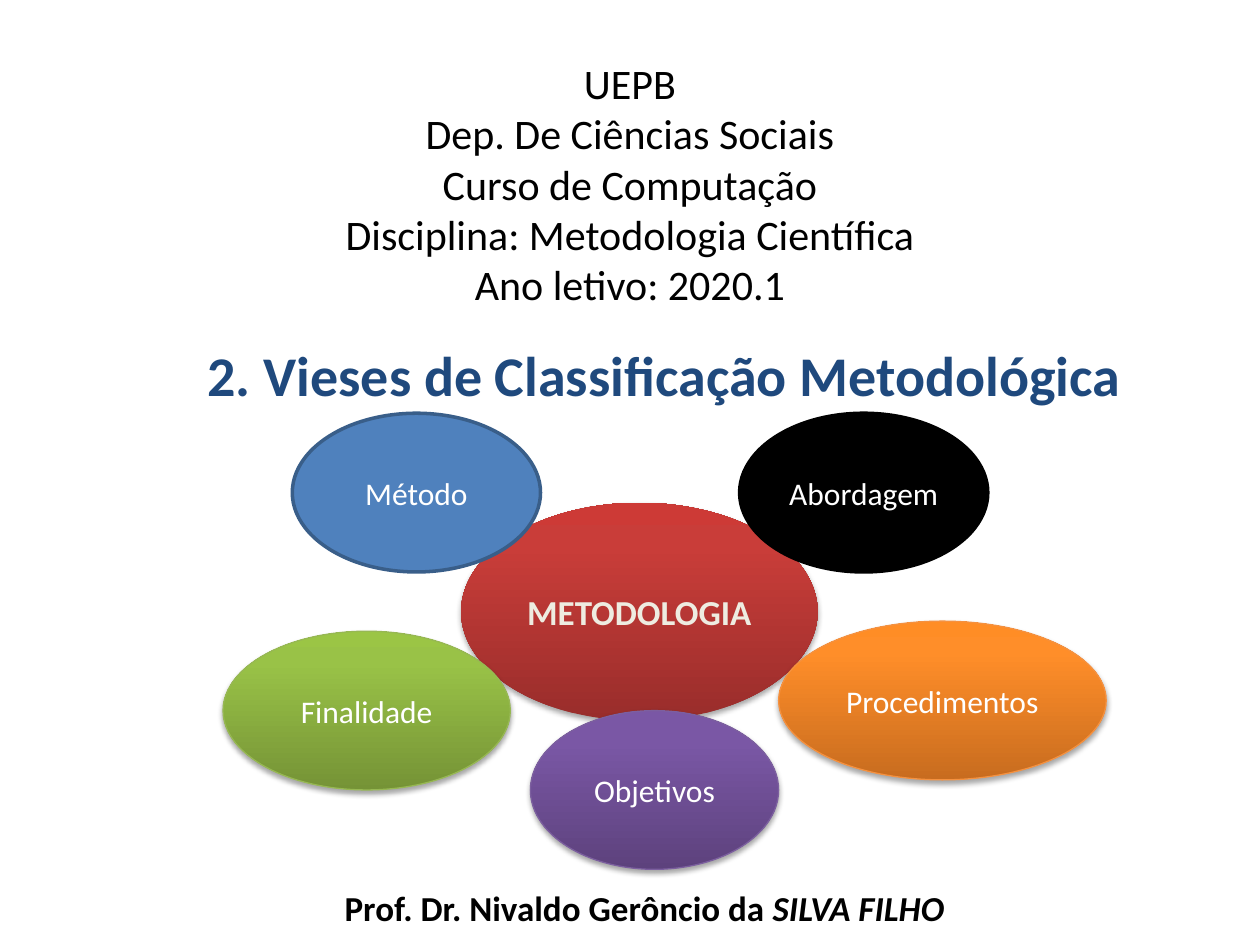
from dataclasses import dataclass

from lxml import etree
from pptx import Presentation
from pptx.dml.color import RGBColor
from pptx.enum.shapes import MSO_SHAPE
from pptx.enum.text import MSO_ANCHOR, PP_ALIGN
from pptx.oxml.ns import qn
from pptx.util import Inches, Pt

ELLIPSE = MSO_SHAPE.OVAL
CENTER = PP_ALIGN.CENTER
TOP, MIDDLE = MSO_ANCHOR.TOP, MSO_ANCHOR.MIDDLE
BLANK_LAYOUT = 6
COLUMNS, ROWS = 100, 75
GRADIENT_STOPS = (0, 80, 100)


@dataclass(frozen=True)
class Theme:
    font: str = "Calibri"
    black: str = "000000"
    white: str = "FFFFFF"
    cream: str = "EEECE1"
    navy: str = "1F497D"
    blue: str = "4F81BD"
    blue_edge: str = "395E89"
    red: tuple = ("992D2B", "C93D39", "CD3A36")
    green: tuple = ("759336", "99C247", "9BC545")
    green_edge: str = "97B853"
    orange: tuple = ("C86C1F", "FF8E29", "FF8D25")
    orange_edge: str = "F5913F"
    purple: tuple = ("5D427D", "7A57A5", "7A56A7")
    purple_edge: str = "7C5F9F"
    heading: int = 32
    course: int = 24
    strong: int = 20
    label: int = 18


def add_node(parent, tag, **attributes):
    return etree.SubElement(parent, qn(tag), {key: str(value) for key, value in attributes.items()})


class SlideBuilder:
    def __init__(self, deck, theme):
        self.theme = theme
        self.page = deck.slides.add_slide(deck.slide_layouts[BLANK_LAYOUT])
        self.column = deck.slide_width / COLUMNS
        self.row = deck.slide_height / ROWS

    def place(self, left, top, width, height):
        """Turn grid columns and rows into slide lengths."""
        return (round(left * self.column), round(top * self.row),
                round(width * self.column), round(height * self.row))

    def set_text(self, shape, text, size, color, bold=False, anchor=MIDDLE):
        frame = shape.text_frame
        frame.word_wrap = True
        frame.vertical_anchor = anchor
        frame.text = text
        para = frame.paragraphs[0]
        para.alignment = CENTER
        for span in para.runs:
            self.style(span, size, color, bold)
        return para

    def style(self, span, size, color, bold):
        span.font.name = self.theme.font
        span.font.size = Pt(size)
        span.font.bold = bold
        span.font.color.rgb = RGBColor.from_string(color)

    def text(self, area, text, size, color, bold=False, anchor=TOP, filled=True):
        box = self.page.shapes.add_textbox(*self.place(*area))
        if filled:
            box.fill.solid()
            box.fill.fore_color.rgb = RGBColor.from_string(self.theme.white)
        return self.set_text(box, text, size, color, bold, anchor)

    def ellipse(self, area, text, fill, edge=None, size=None, color=None, bold=False):
        """Draw a flat ellipse, or a shaded one with a shadow if fill holds several colours."""
        shape = self.page.shapes.add_shape(ELLIPSE, *self.place(*area))
        shaded = isinstance(fill, tuple)
        shape.shadow.inherit = False
        if shaded:
            self.shade(shape, fill)
            self.cast_shadow(shape)
        else:
            shape.fill.solid()
            shape.fill.fore_color.rgb = RGBColor.from_string(fill)
        if edge:
            shape.line.color.rgb = RGBColor.from_string(edge)
            shape.line.width = Pt(0.75 if shaded else 2)
        else:
            shape.line.fill.background()
        self.set_text(shape, text, size or self.theme.label, color or self.theme.white, bold)

    def shade(self, shape, colors):
        """Fill from the bottom upwards through the three colours."""
        shape.fill.gradient()
        shape.fill.gradient_angle = 90
        stops = shape._element.spPr.find(qn("a:gradFill")).find(qn("a:gsLst"))
        for stop in list(stops):
            stops.remove(stop)
        for position, color in zip(GRADIENT_STOPS, colors):
            stop = add_node(stops, "a:gs", pos=position * 1000)
            add_node(stop, "a:srgbClr", val=color)

    def cast_shadow(self, shape):
        effects = shape._element.spPr.find(qn("a:effectLst"))
        shadow = add_node(effects, "a:outerShdw", blurRad=Pt(3.1), dist=Pt(1.8),
                          dir=90 * 60000, rotWithShape=0)
        color = add_node(shadow, "a:srgbClr", val=self.theme.black)
        add_node(color, "a:alpha", val=35000)


def main():
    deck = Presentation()
    deck.slide_width, deck.slide_height = Inches(10), Inches(7.5)
    theme = Theme()
    slide = SlideBuilder(deck, theme)

    course_lines = ("UEPB", "Dep. De Ciências Sociais", "Curso de Computação",
                    "Disciplina: Metodologia Científica", "Ano letivo: 2020.1")
    slide.text((7.5, 0, 85, 29.1), "\v".join(course_lines), theme.course, theme.black,
               anchor=MIDDLE, filled=False)
    slide.text((5.5, 26.5, 94.5, 15), "2. Vieses de Classificação Metodológica",
               theme.heading, theme.navy, bold=True)
    author = slide.text((23.2, 69.9, 55.9, 5.1), "Prof. Dr. Nivaldo Gerôncio da ",
                        theme.strong, theme.black, bold=True)
    surname = author.add_run()
    surname.text = "SILVA FILHO"
    slide.style(surname, theme.strong, theme.black, bold=True)
    surname.font.italic = True

    slide.ellipse((36.6, 39.9, 28.3, 17.3), "METODOLOGIA", theme.red,
                  size=theme.strong, color=theme.cream, bold=True)
    height = 12.6
    for left, top, width, label, fill, edge in (
        (23.2, 32.8, 19.7, "Método", theme.blue, theme.blue_edge),
        (17.7, 50.1, 22.8, "Finalidade", theme.green, theme.green_edge),
        (61.8, 49.3, 26, "Procedimentos", theme.orange, theme.orange_edge),
        (58.7, 32.8, 19.7, "Abordagem", theme.black, theme.black),
        (42.1, 56.4, 19.7, "Objetivos", theme.purple, theme.purple_edge),
    ):
        slide.ellipse((left, top, width, height), label, fill, edge)

    deck.save("out.pptx")


if __name__ == "__main__":
    main()
